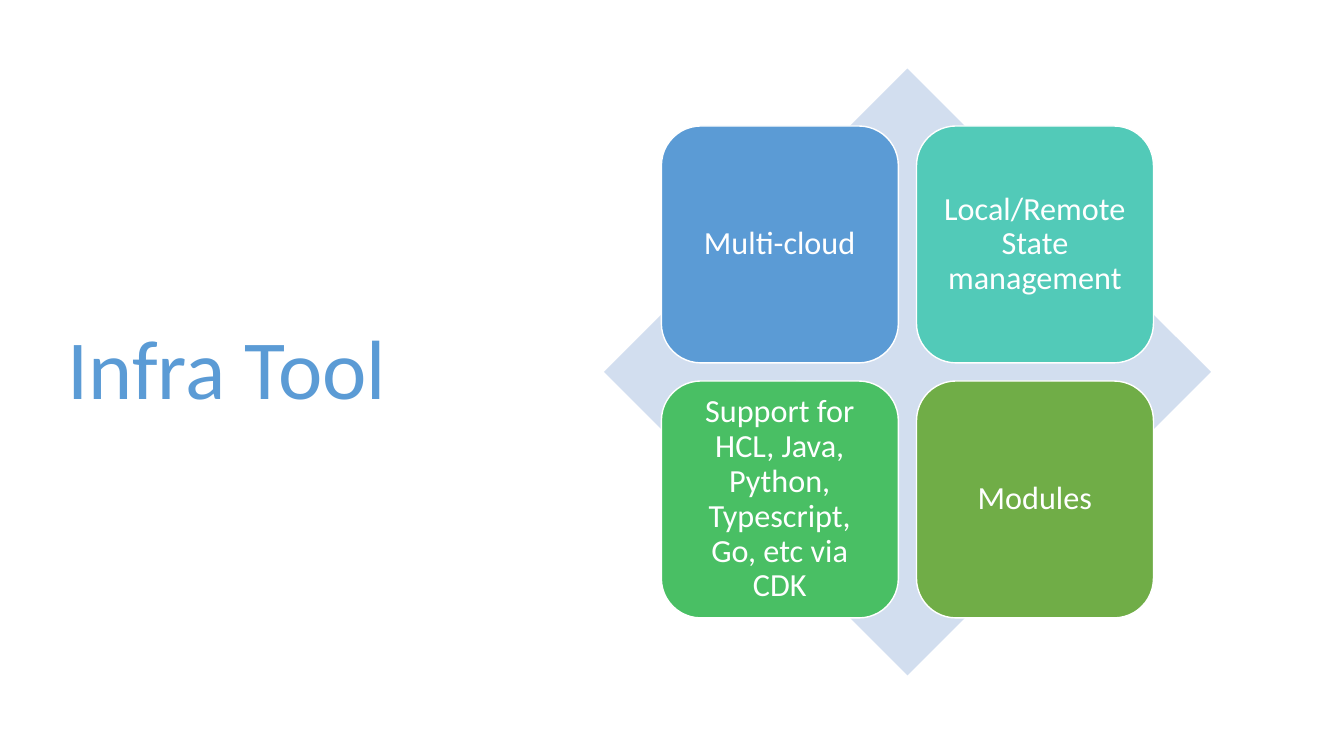
from dataclasses import dataclass

from pptx import Presentation
from pptx.dml.color import RGBColor
from pptx.enum.shapes import MSO_SHAPE
from pptx.enum.text import MSO_ANCHOR, PP_ALIGN
from pptx.shapes.autoshape import Shape
from pptx.slide import Slide
from pptx.text.text import TextFrame
from pptx.util import Inches, Pt

FONT = "Calibri"
WHITE = "FFFFFF"
BLUE = "5B9BD5"
PALE_BLUE = "D2DEEF"

DIAMOND_LEFT, DIAMOND_TOP, DIAMOND_SIZE = 5.99, 0.68, 6.02
TILE_LEFT, TILE_TOP, TILE_SIZE, TILE_STEP = 6.56, 1.25, 2.35, 2.53


@dataclass(frozen=True)
class Tile:
    text: str
    fill: str


TILES = [
    Tile("Multi-cloud", BLUE),
    Tile("Local/Remote State management", "52CAB8"),
    Tile("Support for HCL, Java, Python, Typescript, Go, etc via CDK", "49BF64"),
    Tile("Modules", "70AD47"),
]


def color(value: str) -> RGBColor:
    return RGBColor.from_string(value)


def write_text(
    frame: TextFrame, text: str, size: float, font_color: str, alignment: PP_ALIGN
) -> None:
    frame.text = text
    frame.word_wrap = True
    frame.vertical_anchor = MSO_ANCHOR.MIDDLE
    paragraph = frame.paragraphs[0]
    paragraph.alignment = alignment
    paragraph.line_spacing = 0.9
    paragraph.font.name = FONT
    paragraph.font.size = Pt(size)
    paragraph.font.color.rgb = color(font_color)


def add_square(
    slide: Slide, kind: MSO_SHAPE, left: float, top: float, size: float, fill: str
) -> Shape:
    shape = slide.shapes.add_shape(
        kind, Inches(left), Inches(top), Inches(size), Inches(size)
    )
    shape.shadow.inherit = False
    shape.fill.solid()
    shape.fill.fore_color.rgb = color(fill)
    shape.line.fill.background()
    return shape


def add_title(slide: Slide, text: str) -> None:
    title = slide.shapes.title
    title.left, title.top = Inches(0.57), Inches(0.68)
    title.width, title.height = Inches(4.16), Inches(6.02)
    write_text(title.text_frame, text, 60, BLUE, PP_ALIGN.LEFT)


def add_tile(slide: Slide, tile: Tile, row: int, column: int) -> None:
    shape = add_square(
        slide,
        MSO_SHAPE.ROUNDED_RECTANGLE,
        TILE_LEFT + column * TILE_STEP,
        TILE_TOP + row * TILE_STEP,
        TILE_SIZE,
        tile.fill,
    )
    shape.line.color.rgb = color(WHITE)
    shape.line.width = Pt(1)
    frame = shape.text_frame
    frame.margin_left = frame.margin_right = Inches(0.1)
    frame.margin_top = frame.margin_bottom = Inches(0.1)
    write_text(frame, tile.text, 23, WHITE, PP_ALIGN.CENTER)


def main() -> None:
    presentation = Presentation()
    presentation.slide_width = Inches(13.33)
    presentation.slide_height = Inches(7.5)
    slide = presentation.slides.add_slide(presentation.slide_layouts[5])
    add_title(slide, "Infra Tool")
    add_square(
        slide, MSO_SHAPE.DIAMOND, DIAMOND_LEFT, DIAMOND_TOP, DIAMOND_SIZE, PALE_BLUE
    )
    for index, tile in enumerate(TILES):
        row, column = divmod(index, 2)
        add_tile(slide, tile, row, column)
    presentation.save("out.pptx")


if __name__ == "__main__":
    main()
